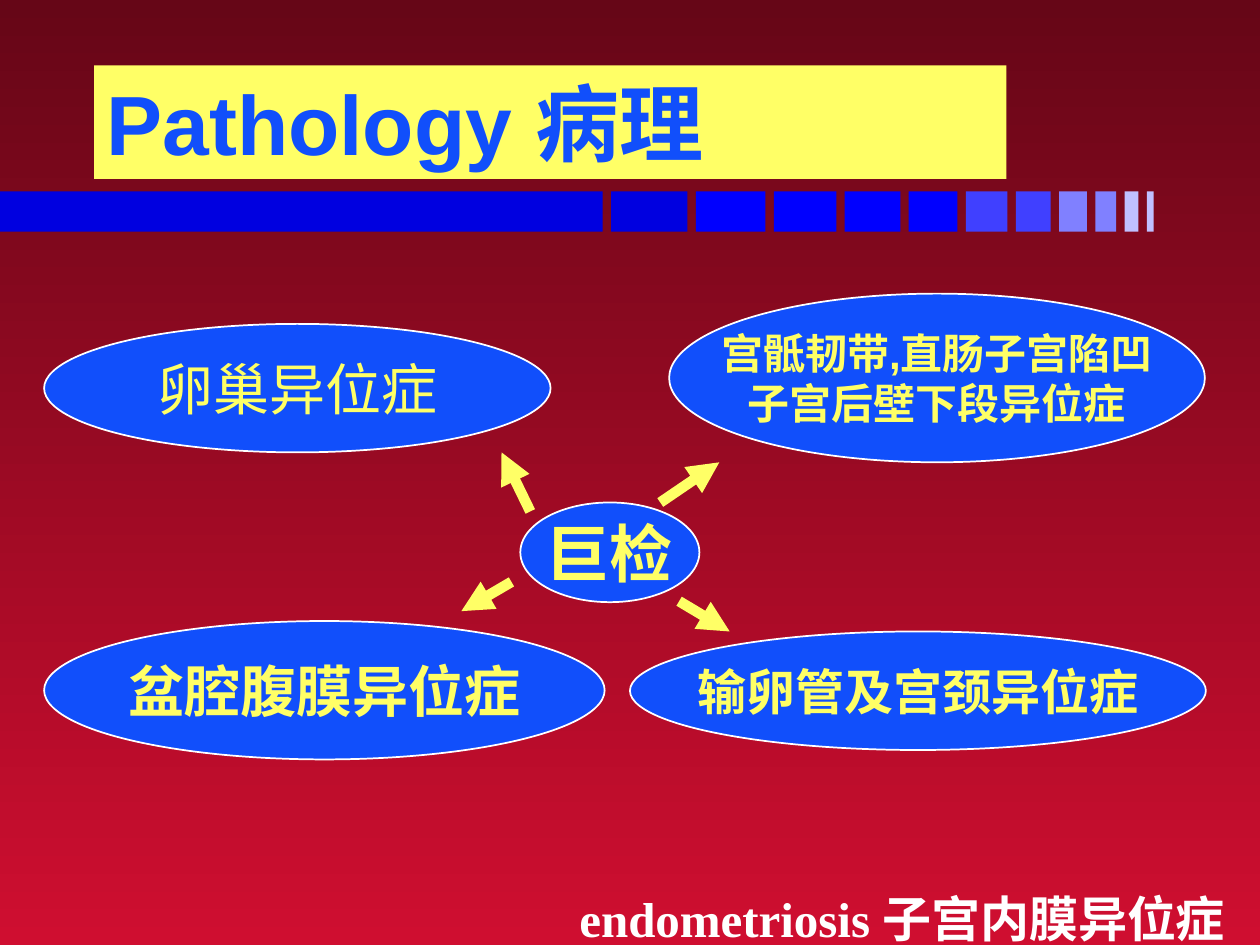
from itertools import accumulate

from lxml.etree import SubElement
from pptx import Presentation
from pptx.dml.color import RGBColor
from pptx.enum.shapes import MSO_CONNECTOR, MSO_SHAPE
from pptx.enum.text import MSO_ANCHOR, PP_ALIGN
from pptx.oxml.ns import qn
from pptx.util import Cm, Pt

COLORS = {
    "top": "660617", "bottom": "CF0E30", "yellow": "FFFF66",
    "blue": "114FFB", "white": "FFFFFF",
}
STRIPE_COLORS = ["0000E0"] * 2 + ["0000FF"] * 4 + ["4040FF"] * 2 + ["8080FF"] * 2 + ["C0C0FF"] * 2
STRIPE_TOP, STRIPE_HEIGHT = 3.86, 0.81
STRIPE_FIRST, STRIPE_STEP, STRIPE_GAP = 12.15, 0.14, 0.17

# Boxes are left, top, width, height in cm
TITLE = ("Pathology 病理", (1.9, 1.32, 18.39, 2.29))
FOOTER = ("endometriosis 子宫内膜异位症", (11.43, 17.78, 13.97, 1.27))
FINDINGS = [
    (["卵巢异位症"], (0.89, 6.53, 10.21, 2.59), 32, False),
    (["宫骶韧带,直肠子宫陷凹", "子宫后壁下段异位症"], (13.49, 5.92, 10.8, 3.4), 24, True),
    (["输卵管及宫颈异位症"], (12.7, 12.73, 11.61, 2.39), 28, True),
    (["盆腔腹膜异位症"], (0.89, 12.52, 11.3, 2.79), 32, True),
    (["巨检"], (10.49, 10.13, 3.61, 2.01), 36, True),
]
ARROWS = [
    ((13.31, 10.13), (14.5, 9.32)),
    ((13.69, 12.12), (14.71, 12.73)),
    ((10.31, 11.73), (9.3, 12.32)),
    ((10.69, 10.31), (10.11, 9.12)),
]


def rgb(color):
    return RGBColor.from_string(COLORS.get(color, color))


def set_all(target, values):
    for name, value in values.items():
        setattr(target, name, value)


def write(frame, lines, color, align, frame_format, font_format):
    set_all(frame, frame_format)
    frame.text = "\n".join(lines)
    for paragraph in frame.paragraphs:
        paragraph.alignment = align
        font = paragraph.runs[0].font
        set_all(font, font_format)
        font.color.rgb = rgb(color)


def add_filled(slide, kind, box, fill, outline=None):
    part = slide.shapes.add_shape(kind, *map(Cm, box))
    part.shadow.inherit = False
    part.fill.solid()
    part.fill.fore_color.rgb = rgb(fill)
    if outline:
        part.line.color.rgb = rgb(outline)
        part.line.width = Pt(1)
    else:
        part.line.fill.background()
    return part


def add_arrow(slide, start, end):
    arrow = slide.shapes.add_connector(MSO_CONNECTOR.STRAIGHT, *map(Cm, start + end))
    arrow.line.color.rgb = rgb("yellow")
    arrow.line.width = Pt(6)
    SubElement(arrow.line._get_or_add_ln(), qn("a:tailEnd"), type="triangle")
    SubElement(arrow._element.spPr, qn("a:effectLst"))


def main():
    deck = Presentation()
    set_all(deck, {"slide_width": Cm(25.4), "slide_height": Cm(19.05)})
    slide = deck.slides.add_slide(deck.slide_layouts[6])

    backdrop = slide.background.fill
    backdrop.gradient()
    backdrop.gradient_angle = 270
    for stop, position, color in zip(backdrop.gradient_stops, (0, 1), ("top", "bottom")):
        stop.position = position
        stop.color.rgb = rgb(color)

    widths = [STRIPE_FIRST] + [STRIPE_STEP * n for n in range(11, 0, -1)]
    lefts = accumulate((width + STRIPE_GAP for width in widths), initial=0)
    for left, width, color in zip(lefts, widths, STRIPE_COLORS):
        add_filled(slide, MSO_SHAPE.RECTANGLE, (left, STRIPE_TOP, width, STRIPE_HEIGHT), color)

    footer, footer_box = FOOTER
    write(slide.shapes.add_textbox(*map(Cm, footer_box)).text_frame, [footer], "white",
          PP_ALIGN.LEFT, {"word_wrap": True, "vertical_anchor": MSO_ANCHOR.TOP},
          {"name": "Times New Roman", "size": Pt(28), "bold": True})

    title, title_box = TITLE
    write(add_filled(slide, MSO_SHAPE.RECTANGLE, title_box, "yellow").text_frame, [title], "blue",
          PP_ALIGN.LEFT, {"word_wrap": True, "vertical_anchor": MSO_ANCHOR.TOP},
          {"name": "Arial", "size": Pt(48), "bold": True})

    for lines, box, size, bold in FINDINGS:
        finding = add_filled(slide, MSO_SHAPE.OVAL, box, "blue", "white")
        write(finding.text_frame, lines, "yellow", PP_ALIGN.CENTER,
              {"word_wrap": False, "vertical_anchor": MSO_ANCHOR.MIDDLE},
              {"name": "Arial", "size": Pt(size), "bold": bold})

    for start, end in ARROWS:
        add_arrow(slide, start, end)

    deck.save("out.pptx")


if __name__ == "__main__":
    main()
